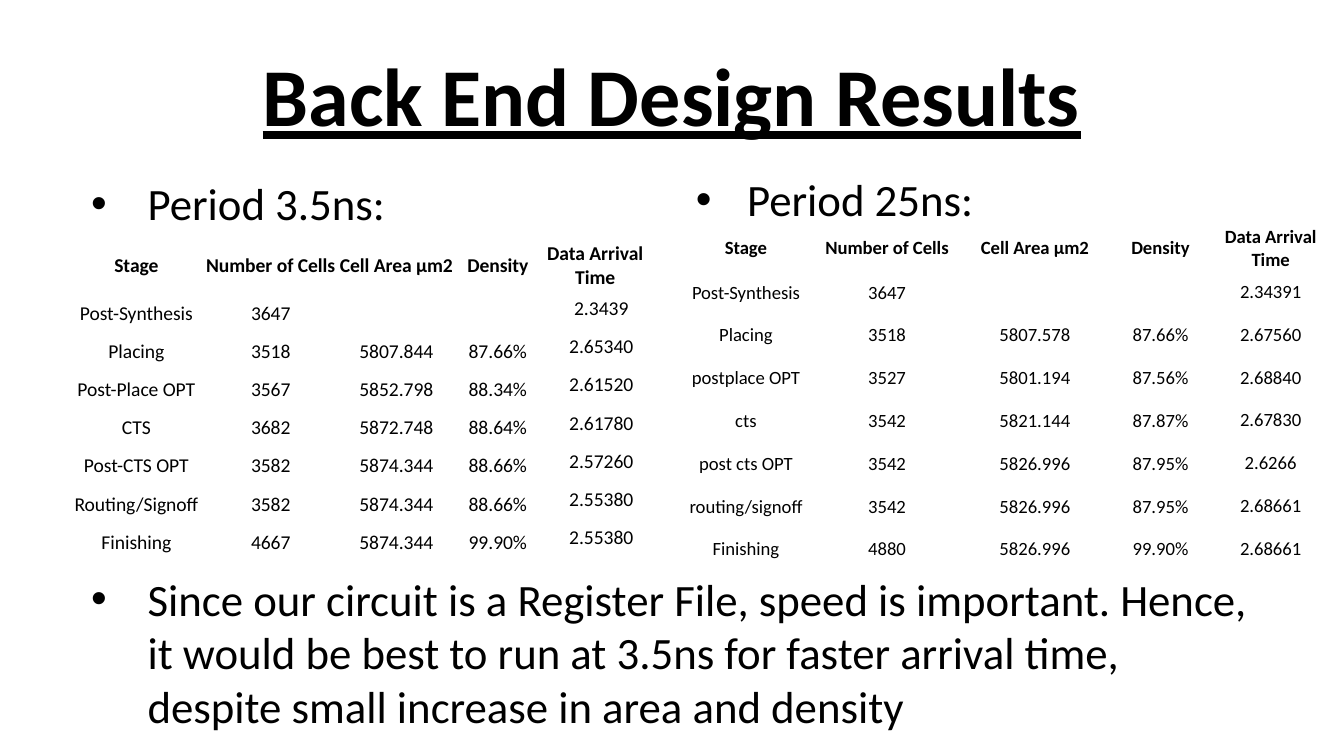
from lxml.etree import SubElement as Sub
from pptx import Presentation
from pptx.dml.color import RGBColor as RGB
from pptx.enum.text import MSO_ANCHOR as Anchor, PP_ALIGN as Align
from pptx.oxml.ns import qn
from pptx.util import Inches, Pt

HUES = {"ink": "000000"}


def style(run, size, **looks):
    font = run.font
    for key, val in {"name": "Calibri", "size": Pt(size), **looks}.items():
        setattr(font, key, val)
    font.color.rgb = RGB.from_string(HUES["ink"])


def pad(item, sides):
    for side, gap in zip(("left", "top", "right", "bottom"), sides):
        setattr(item, "margin_" + side, Inches(gap))


deck = Presentation()
deck.slide_width, deck.slide_height = Inches(10), Inches(10 * 9 / 16)
slide = deck.slides.add_slide(deck.slide_layouts[5])

title = slide.shapes.title
for key, val in {"left": 0.5, "top": 0.23, "width": 9, "height": 0.94}.items():
    setattr(title, key, Inches(val))
frame = title.text_frame
frame.vertical_anchor = Anchor.MIDDLE
pad(frame, (0.1, 0.05, 0.1, 0.05))
para = frame.paragraphs[0]
para.alignment = Align.CENTER
run = para.add_run()
run.text = "Back End Design Results"
style(run, 44, bold=True, underline=True)

notes = [
    {"at": (0.5, 1.26, 9, 4.08), "pad": (0.1, 0.05, 0.1, 0.05),
     "anchor": Anchor.TOP, "left": 0.5, "hang": 0.42,
     "lines": [("Period 3.5ns:", 6.4),
               ("Since our circuit is a Register File, speed is important. "
                "Hence, it would be best to run at 3.5ns for faster arrival "
                "time, despite small increase in area and density", 183)]},
    {"at": (5.08, 1.26, 4.42, 0.52), "pad": (0.1, 0.1, 0.1, 0.1),
     "anchor": Anchor.BOTTOM, "left": 0.38, "hang": 0.38,
     "lines": [("Period 25ns:", 6.4)]},
]
for note in notes:
    frame = slide.shapes.add_textbox(*map(Inches, note["at"])).text_frame
    frame.word_wrap = True
    frame.vertical_anchor = note["anchor"]
    pad(frame, note["pad"])
    for i, (text, gap) in enumerate(note["lines"]):
        para = frame.add_paragraph() if i else frame.paragraphs[0]
        para.space_before = Pt(gap)
        run = para.add_run()
        run.text = text
        style(run, 24)
        props = para._p.get_or_add_pPr()
        props.set("marL", str(Inches(note["left"])))
        props.set("indent", str(-Inches(note["hang"])))
        Sub(props, qn("a:buFont"), typeface="Arial")
        Sub(props, qn("a:buChar"), char="•")

heads = ("Stage", "Number of Cells", "Cell Area μm2", "Density",
         "Data Arrival Time")
grids = [
    {"at": (0.5, 1.77, 4.34, 2.41), "cols": (1.02, 0.98, 0.89, 0.62, 0.83),
     "head": 0.42, "size": 10.5,
     "pad": (0.01, 0, 0, 0), "last": (0.1, 0, 0, 0.07),
     "rows": [
         ("Post-Synthesis", "3647", "", "", "2.3439"),
         ("Placing", "3518", "5807.844", "87.66%", "2.65340"),
         ("Post-Place OPT", "3567", "5852.798", "88.34%", "2.61520"),
         ("CTS", "3682", "5872.748", "88.64%", "2.61780"),
         ("Post-CTS OPT", "3582", "5874.344", "88.66%", "2.57260"),
         ("Routing/Signoff", "3582", "5874.344", "88.66%", "2.55380"),
         ("Finishing", "4667", "5874.344", "99.90%", "2.55380")]},
    {"at": (5.08, 1.67, 4.77, 2.56), "cols": (0.94, 1.16, 1.04, 0.83, 0.81),
     "head": 0.33, "size": 10,
     "pad": (0.01, 0.01, 0.01, 0), "last": (0.1, 0.07, 0.1, 0.07),
     "rows": [
         ("Post-Synthesis", "3647", "", "", "2.34391"),
         ("Placing", "3518", "5807.578", "87.66%", "2.67560"),
         ("postplace OPT", "3527", "5801.194", "87.56%", "2.68840"),
         ("cts", "3542", "5821.144", "87.87%", "2.67830"),
         ("post cts OPT", "3542", "5826.996", "87.95%", "2.6266"),
         ("routing/signoff", "3542", "5826.996", "87.95%", "2.68661"),
         ("Finishing", "4880", "5826.996", "99.90%", "2.68661")]},
]
for grid in grids:
    rows = [heads] + grid["rows"]
    table = slide.shapes.add_table(
        len(rows), len(heads), *map(Inches, grid["at"])).table
    table.horz_banding = False
    for col, wide in zip(table.columns, grid["cols"]):
        col.width = Inches(wide)
    tall = (grid["at"][3] - grid["head"]) / len(grid["rows"])
    for r, row in enumerate(rows):
        table.rows[r].height = Inches(tall if r else grid["head"])
        for c, text in enumerate(row):
            cell = table.cell(r, c)
            cell.fill.background()
            cell.vertical_anchor = Anchor.MIDDLE
            last = r > 0 and c == len(heads) - 1
            pad(cell, grid["last" if last else "pad"])
            para = cell.text_frame.paragraphs[0]
            para.alignment = Align.CENTER
            if text:
                run = para.add_run()
                run.text = text
                style(run, grid["size"], bold=r == 0)
            else:
                Sub(para._p, qn("a:endParaRPr"), sz=str(int(grid["size"] * 100)))

deck.save("out.pptx")
